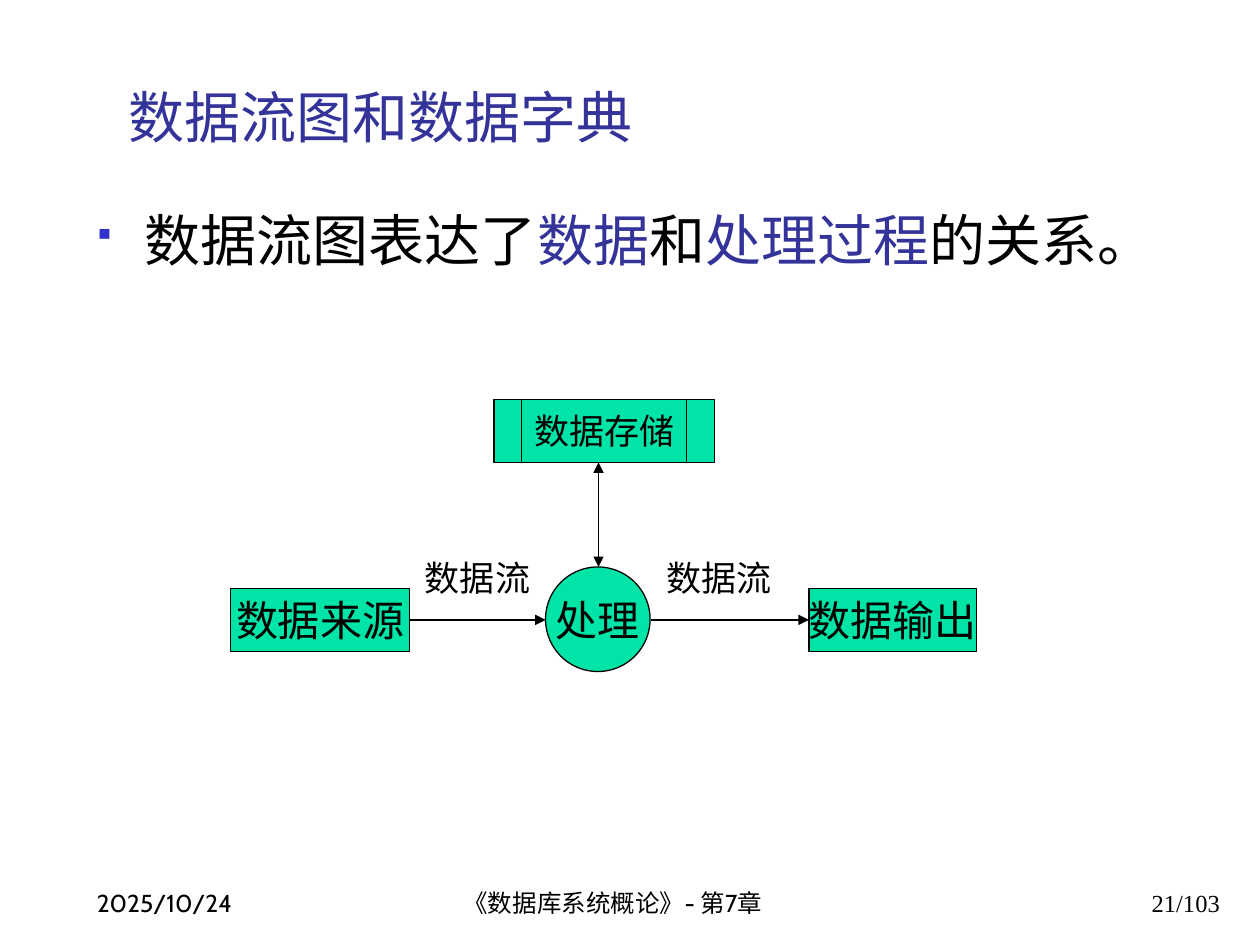
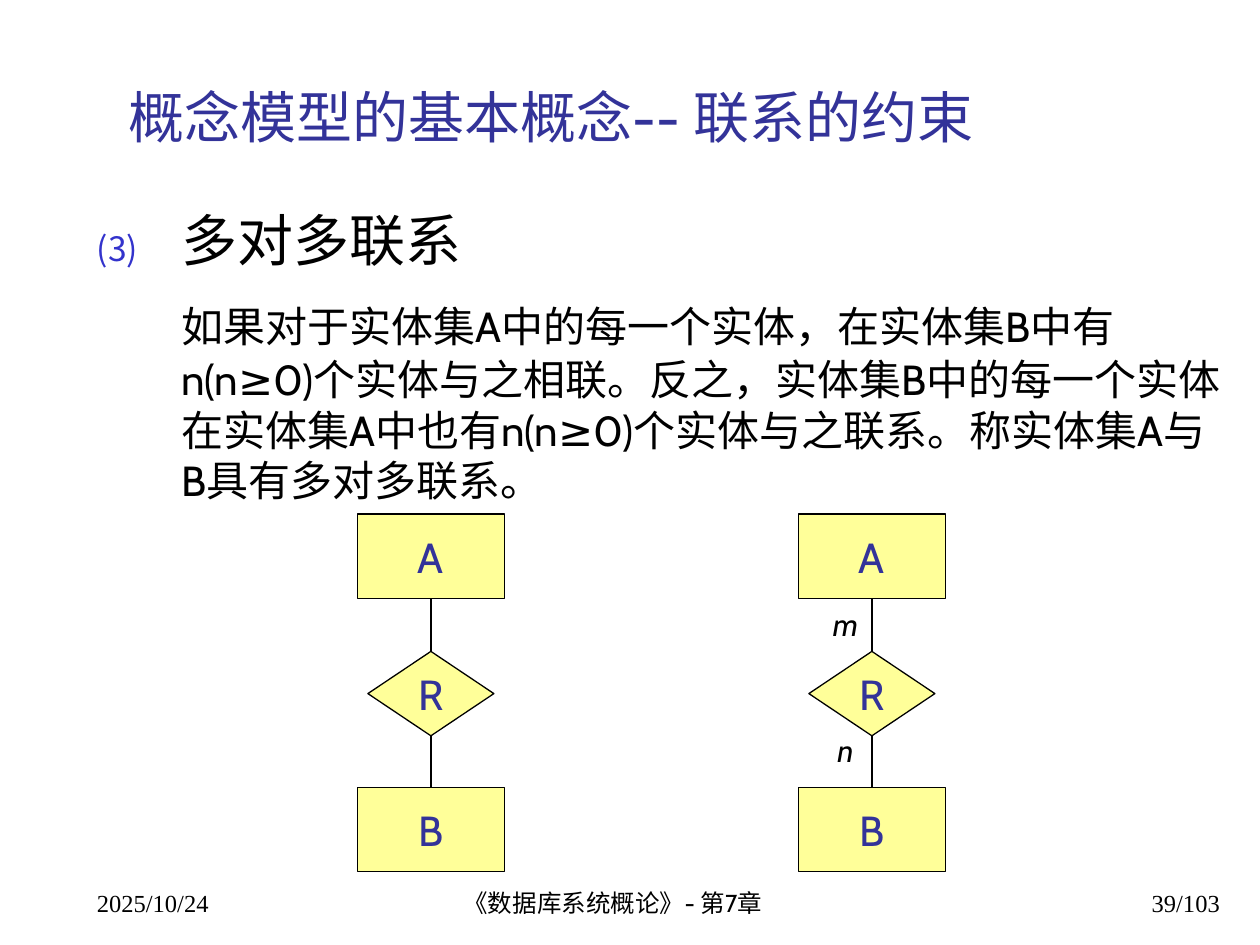
import pptx
import pptx.dml.color
import pptx.enum.shapes
import pptx.enum.text
import pptx.oxml.ns
import pptx.util
from lxml import etree

Inches = pptx.util.Inches
Pt = pptx.util.Pt
KIND = pptx.enum.shapes.MSO_SHAPE
ANCHOR = pptx.enum.text.MSO_ANCHOR
ALIGN = pptx.enum.text.PP_ALIGN

COLORS = {
    "ink": "000000",
    "accent": "333399",
    "bullet": "3333CC",
    "flow": "00E4A8",
    "entity": "FFFF99",
    "paper": "FFFFFF",
}
BODY_FONT = "Cabin"
PLAIN_FONT = "Times New Roman"
LINE_WIDTH = Pt(0.75)
TOP, LEFT, BOTTOM, RIGHT = range(4)


def rgb(color):
    return pptx.dml.color.RGBColor.from_string(COLORS[color])


def set_formats(target, formats):
    for name, value in formats.items():
        setattr(target, name, value)


def add_xml(parent, tag, **attributes):
    return etree.SubElement(parent, pptx.oxml.ns.qn(tag), attributes)


def add_run(paragraph, text, size, color="ink", font=BODY_FONT, italic=None):
    run = paragraph.add_run()
    run.text = text
    set_formats(run.font, {"name": font, "size": Pt(size), "italic": italic})
    run.font.color.rgb = rgb(color)


def add_text_box(slide, box, anchor=ANCHOR.TOP):
    """Add an empty wrapping text box and return its text frame."""
    frame = slide.shapes.add_textbox(*map(Inches, box)).text_frame
    set_formats(frame, {"word_wrap": True, "vertical_anchor": anchor})
    return frame


def add_line_of_text(slide, box, text, size, anchor=ANCHOR.BOTTOM,
                     align=ALIGN.LEFT, **run_format):
    paragraph = add_text_box(slide, box, anchor).paragraphs[0]
    paragraph.alignment = align
    add_run(paragraph, text, size, **run_format)


def set_hanging_indent(paragraph, indent):
    properties = paragraph._p.get_or_add_pPr()
    properties.set("marL", str(Inches(indent)))
    properties.set("indent", str(-Inches(indent)))
    return properties


def add_marker(paragraph, indent, tag, font=None, **attributes):
    """Give a paragraph a hanging bullet or number in the bullet colour."""
    properties = set_hanging_indent(paragraph, indent)
    bullet_color = add_xml(properties, "a:buClr")
    add_xml(bullet_color, "a:srgbClr", val=COLORS["bullet"])
    add_xml(properties, "a:buSzPct", val="60000")
    if font:
        add_xml(properties, "a:buFont", typeface=font, charset="2")
    add_xml(properties, tag, **attributes)


def add_node(shapes, kind, box, text, size, fill=None, line="ink",
             color="ink", font=PLAIN_FONT):
    node = shapes.add_shape(kind, *map(Inches, box))
    node.shadow.inherit = False
    if fill:
        node.fill.solid()
        node.fill.fore_color.rgb = rgb(fill)
    else:
        node.fill.background()
    node.line.color.rgb = rgb(line)
    node.line.width = LINE_WIDTH
    frame = node.text_frame
    set_formats(frame, {"word_wrap": False, "vertical_anchor": ANCHOR.MIDDLE})
    frame.paragraphs[0].alignment = ALIGN.CENTER
    add_run(frame.paragraphs[0], text, size, color, font)
    return node


def add_link(shapes, start, end, begin=None, finish=None, arrows=()):
    """Draw a straight line; begin and finish are (node, side) joints."""
    link = shapes.add_connector(pptx.enum.shapes.MSO_CONNECTOR.STRAIGHT,
                                *map(Inches, start + end))
    if begin:
        link.begin_connect(*begin)
    if finish:
        link.end_connect(*finish)
    link.line.color.rgb = rgb("ink")
    link.line.width = LINE_WIDTH
    for arrow in arrows:
        add_xml(link.line._get_or_add_ln(), arrow, type="triangle")
    add_xml(link._element.spPr, "a:effectLst")


def add_page(deck, title, page_number, date_font):
    slide = deck.slides.add_slide(deck.slide_layouts[6])
    slide.background.fill.solid()
    slide.background.fill.fore_color.rgb = rgb("paper")
    add_line_of_text(slide, (0.92, 0.41, 8.86, 0.83), title, 32, color="accent")
    add_line_of_text(slide, (0.67, 6.83, 2.08, 0.5), "2025/10/24", 14,
                     font=date_font)
    add_line_of_text(slide, (3.58, 6.83, 3.17, 0.5),
                     "《数据库系统概论》- 第7章", 14)
    add_line_of_text(slide, (7.7, 6.83, 2.08, 0.5), f"{page_number}/103", 14,
                     align=ALIGN.RIGHT, font=PLAIN_FONT)
    return slide, add_text_box(slide, (0.67, 1.58, 9.13, 5.12))


def add_data_flow_diagram(slide):
    shapes = slide.shapes.add_group_shape().shapes
    process_x, process_y, radius = 4.75, 4.92, 0.42
    add_node(shapes, KIND.FLOWCHART_CONNECTOR, (4.33, 4.5, 0.83, 0.83),
             "处理", 24, "flow")
    source = add_node(shapes, KIND.FLOWCHART_PROCESS, (1.83, 4.67, 1.42, 0.5),
                      "数据来源", 24, "flow")
    output = add_node(shapes, KIND.FLOWCHART_PROCESS, (6.42, 4.67, 1.33, 0.5),
                      "数据输出", 24, "flow")
    add_node(shapes, KIND.FLOWCHART_PREDEFINED_PROCESS, (3.92, 3.17, 1.75, 0.5),
             "数据存储", 20, "flow")
    for label_left in (3.33, 5.25):
        add_node(shapes, KIND.RECTANGLE, (label_left, 4.42, 0.92, 0.33),
                 "数据流", 20, line="paper")
    add_link(shapes, (3.25, process_y), (process_x - radius, process_y),
             begin=(source, RIGHT), arrows=["a:tailEnd"])
    add_link(shapes, (process_x + radius, process_y), (6.42, process_y),
             finish=(output, LEFT), arrows=["a:tailEnd"])
    add_link(shapes, (process_x, 3.67), (process_x, process_y - radius),
             arrows=["a:headEnd", "a:tailEnd"])


def add_relationship(slide, center, cardinalities=()):
    """Stack entity A, relationship R and entity B around a vertical axis."""
    parts = [("A", KIND.RECTANGLE, 4.08, 1.17),
             ("R", KIND.FLOWCHART_DECISION, 5.17, 1),
             ("B", KIND.RECTANGLE, 6.25, 1.17)]
    nodes = [add_node(slide.shapes, kind, (center - width / 2, top, width, 0.67),
                      name, 24, "entity", color="accent", font=BODY_FONT)
             for name, kind, top, width in parts]
    for upper, lower in zip(nodes, nodes[1:]):
        add_link(slide.shapes, (center, 4.75), (center, 5.17),
                 begin=(upper, BOTTOM), finish=(lower, TOP))
    for row, cardinality in enumerate(cardinalities):
        add_line_of_text(slide, (center - 0.5, 4.75 + row, 0.58, 0.4),
                         cardinality, 18, anchor=ANCHOR.TOP,
                         align=ALIGN.CENTER, italic=True)


def build_data_flow_slide(deck):
    slide, body = add_page(deck, "数据流图和数据字典", 21, BODY_FONT)
    statement = body.paragraphs[0]
    add_marker(statement, 0.38, "a:buChar", font="Wingdings", char="§")
    for text, color in [("数据流图表达了", "ink"), ("数据", "accent"),
                        ("和", "ink"), ("处理过程", "accent"),
                        ("的关系。", "ink")]:
        add_run(statement, text, 32, color)
    add_data_flow_diagram(slide)


def build_many_to_many_slide(deck):
    slide, body = add_page(deck, "概念模型的基本概念-- 联系的约束", 39, PLAIN_FONT)
    heading = body.paragraphs[0]
    add_marker(heading, 0.67, "a:buAutoNum", type="arabicParenBoth", startAt="3")
    add_run(heading, "多对多联系", 32)
    definition = body.add_paragraph()
    set_hanging_indent(definition, 0.67)
    definition.space_before = Pt(8)
    add_run(definition, "\t", 32)
    add_run(definition,
            "如果对于实体集A中的每一个实体，在实体集B中有n(n≥0)个实体与之相联。"
            "反之，实体集B中的每一个实体在实体集A中也有n(n≥0)个实体与之联系。"
            "称实体集A与B具有多对多联系。", 24)
    add_relationship(slide, 3.42)
    add_relationship(slide, 6.92, "mn")


def main():
    deck = pptx.Presentation()
    deck.slide_width, deck.slide_height = Inches(10), Inches(7.5)
    build_data_flow_slide(deck)
    build_many_to_many_slide(deck)
    deck.save("out.pptx")


if __name__ == "__main__":
    main()
